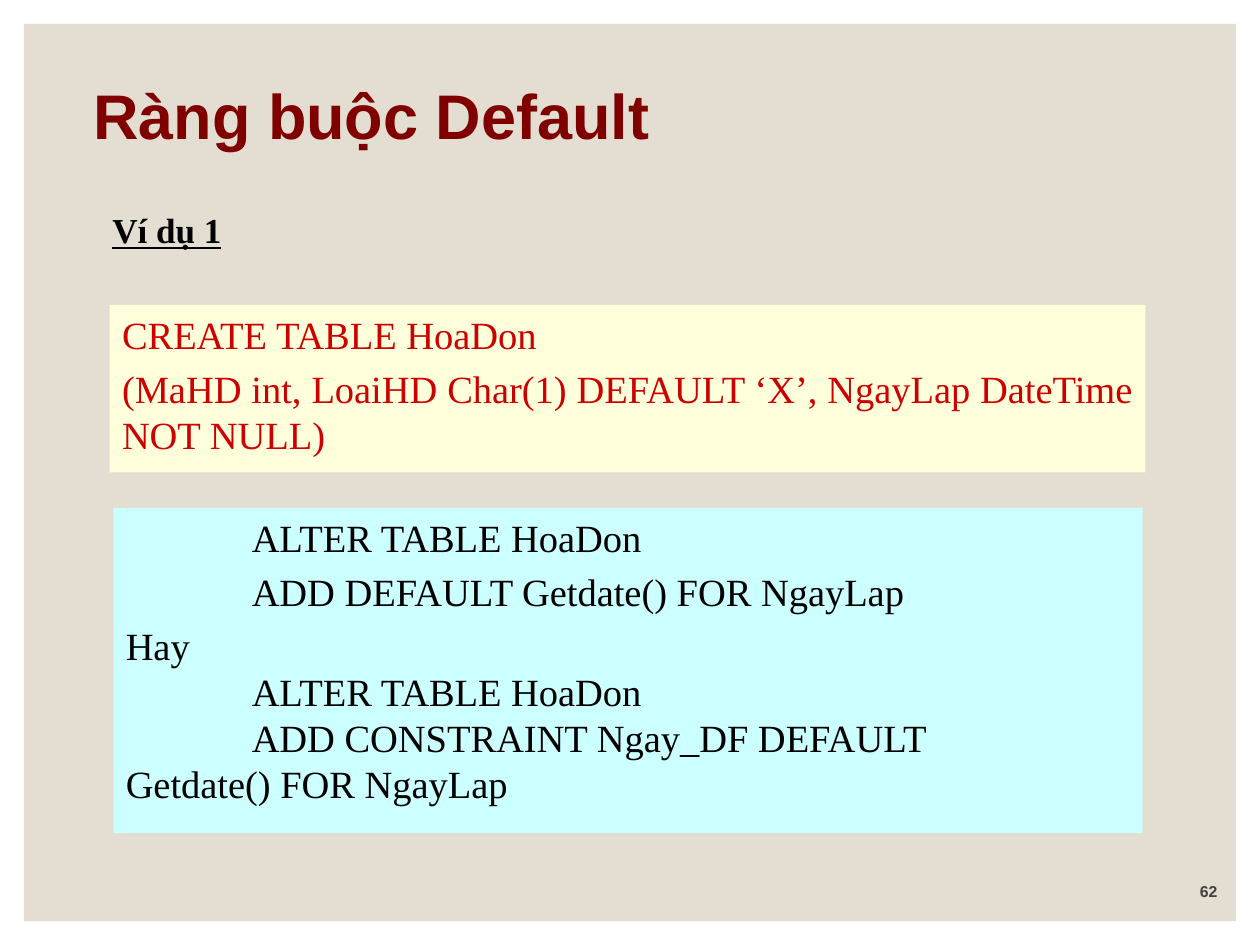
from pptx import Presentation
from pptx.dml.color import RGBColor
from pptx.enum.shapes import MSO_SHAPE as Shape
from pptx.enum.text import MSO_ANCHOR as Anchor, PP_ALIGN as Align
from pptx.util import Inches, Pt

COLORS = {
    "panel": "E3DED1",
    "title": "800000",
    "create_fill": "FFFFDC",
    "create_text": "CC0000",
    "alter_fill": "CCFFFF",
    "black": "000000",
    "number": "404040",
}
SERIF, SANS = "Times New Roman", "Arial"
CODE_SIZE = 22
TAB_WIDTH = Inches(1)


def color(name):
    return RGBColor.from_string(COLORS[name])


def write_text(shape, lines, *, size, font=SERIF, ink="black", bold=False,
               underline=False, align=Align.LEFT, anchor=Anchor.TOP,
               wrap=True, spaced=0):
    """Write one paragraph per line; the first `spaced` get space before."""
    frame = shape.text_frame
    frame.word_wrap = wrap
    frame.vertical_anchor = anchor
    for index, line in enumerate(lines):
        paragraph = frame.paragraphs[0] if index == 0 else frame.add_paragraph()
        paragraph.alignment = align
        paragraph.space_before = Pt(0.2 * size if index < spaced else 0)
        paragraph._p.get_or_add_pPr().set("defTabSz", str(TAB_WIDTH))
        run = paragraph.add_run()
        run.text = line
        run.font.name = font
        run.font.size = Pt(size)
        run.font.bold = bold
        run.font.underline = underline
        run.font.color.rgb = color(ink)


def add_box(slide, left, top, width, height, fill):
    shape = slide.shapes.add_shape(
        Shape.RECTANGLE, Inches(left), Inches(top), Inches(width), Inches(height))
    shape.shadow.inherit = False
    shape.fill.solid()
    shape.fill.fore_color.rgb = color(fill)
    shape.line.fill.background()
    return shape


def add_label(slide, left, top, width, height, text, **text_format):
    label = slide.shapes.add_textbox(
        Inches(left), Inches(top), Inches(width), Inches(height))
    write_text(label, [text], anchor=Anchor.BOTTOM, bold=True, **text_format)


def set_title(slide, text):
    title = slide.shapes.title
    title.left, title.top = Inches(0.64), Inches(0.57)
    title.width, title.height = Inches(8.52), Inches(0.69)
    write_text(title, [text], size=36, font=SANS, ink="title", bold=True,
               anchor=Anchor.BOTTOM)


def main():
    presentation = Presentation()
    presentation.slide_width, presentation.slide_height = Inches(10), Inches(7.5)
    slide = presentation.slides.add_slide(presentation.slide_layouts[5])

    # Background panel, sent behind the title
    panel = add_box(slide, 0.19, 0.19, 9.62, 7.12, "panel")
    slide.shapes.title.element.addprevious(panel.element)

    # Title and example heading
    set_title(slide, "Ràng buộc Default")
    add_label(slide, 0.78, 1.61, 1.09, 0.43, "Ví dụ 1", size=20,
              underline=True, align=Align.CENTER, wrap=False, spaced=1)

    # Default declared with the table
    create_box = add_box(slide, 0.87, 2.42, 8.22, 1.33, "create_fill")
    write_text(create_box, [
        "CREATE TABLE HoaDon",
        "(MaHD int, LoaiHD Char(1) DEFAULT ‘X’, NgayLap DateTime NOT NULL)",
    ], size=CODE_SIZE, ink="create_text", align=Align.JUSTIFY, spaced=2)

    # Default added later, in two forms
    alter_box = add_box(slide, 0.9, 4.03, 8.17, 2.58, "alter_fill")
    write_text(alter_box, [
        "\tALTER TABLE HoaDon",
        "\tADD DEFAULT Getdate() FOR NgayLap",
        "Hay",
        "\tALTER TABLE HoaDon",
        "\tADD CONSTRAINT Ngay_DF DEFAULT \tGetdate() FOR NgayLap",
    ], size=CODE_SIZE, spaced=3)

    # Slide number
    add_label(slide, 8.56, 6.9, 1.2, 0.3, "62", size=9, font=SANS,
              ink="number", align=Align.RIGHT)

    presentation.save("out.pptx")


if __name__ == "__main__":
    main()
